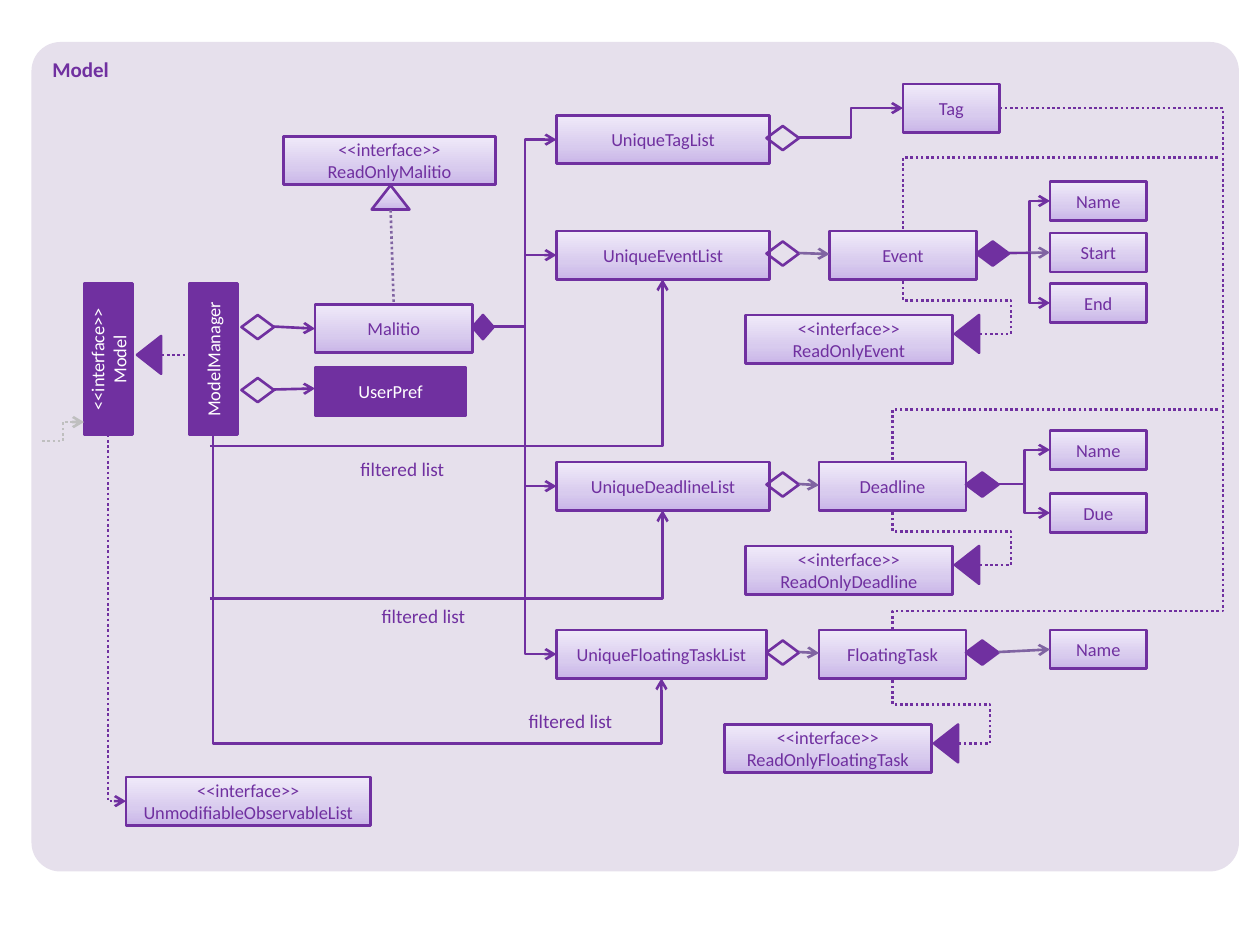
import copy
import itertools
import lxml.etree
import pptx
import pptx.dml.color
import pptx.enum.dml
import pptx.enum.shapes
import pptx.enum.text
import pptx.oxml.ns
import pptx.util

RGBColor = pptx.dml.color.RGBColor
PURPLE = RGBColor(0x70, 0x30, 0xA0)
MUTED = RGBColor(0x80, 0x64, 0xA2)
GRAY = RGBColor(0xBF, 0xBF, 0xBF)
WHITE = RGBColor(0xFF, 0xFF, 0xFF)
PANEL = RGBColor(0xE6, 0xE0, 0xEC)
GRADIENT = ((0, RGBColor(0xC9, 0xB5, 0xE8)),
            (0.35, RGBColor(0xD8, 0xCB, 0xEE)),
            (1, RGBColor(0xF0, 0xEA, 0xF9)))
SHAPES = pptx.enum.shapes.MSO_SHAPE
CONNECTORS = pptx.enum.shapes.MSO_CONNECTOR
ALIGN = pptx.enum.text.PP_ALIGN
ANCHOR = pptx.enum.text.MSO_ANCHOR
qn = pptx.oxml.ns.qn

COLUMNS, ROWS = 120, 90
BOX_HEIGHT, DETAIL_HEIGHT = 4.6, 3.7
DIAMOND = (3.1, 2.3)
TRIANGLE = (3.6, 2.3)

presentation = pptx.Presentation()
presentation.slide_width = pptx.util.Inches(10)
presentation.slide_height = pptx.util.Inches(7.5)
slide = presentation.slides.add_slide(presentation.slide_layouts[6])


def place(*lengths):
    units = itertools.cycle((presentation.slide_width / COLUMNS,
                             presentation.slide_height / ROWS))
    return [round(length * unit) for length, unit in zip(lengths, units)]


def write(shape, text, color, size=10.5, bold=False, align=ALIGN.CENTER):
    frame = shape.text_frame
    frame.word_wrap = True
    frame.text = text
    font_format = {"name": "Calibri", "size": pptx.util.Pt(size), "bold": bold}
    for paragraph in frame.paragraphs:
        paragraph.alignment = align
        for run in paragraph.runs:
            run.font.color.rgb = color
            for name, value in font_format.items():
                setattr(run.font, name, value)


def add_gradient(shape):
    shape.fill.gradient()
    shape.fill.gradient_angle = 90
    stops = shape._element.spPr.find(".//" + qn("a:gsLst"))
    stops.append(copy.deepcopy(stops[0]))
    for stop, (position, color) in zip(shape.fill.gradient_stops, GRADIENT):
        stop.position = position
        stop.color.rgb = color


def add_node(kind, box, fill=None, rotation=0):
    shape = slide.shapes.add_shape(kind, *place(*box))
    shape.shadow.inherit = False
    shape.rotation = rotation
    shape.line.color.rgb = PURPLE
    shape.line.width = pptx.util.Pt(1.5)
    if fill is GRADIENT:
        add_gradient(shape)
    elif fill is None:
        shape.fill.background()
    else:
        shape.fill.solid()
        shape.fill.fore_color.rgb = fill
    return shape


def add_box(text, left, top, width, height=BOX_HEIGHT, fill=GRADIENT, rotation=0):
    shape = add_node(SHAPES.RECTANGLE, (left, top, width, height), fill, rotation)
    write(shape, text, PURPLE if fill is GRADIENT else WHITE)


def add_diamond(left, top, fill=None, width=DIAMOND[0]):
    add_node(SHAPES.FLOWCHART_DECISION, (left, top, width, DIAMOND[1]), fill)


def add_triangle(center_x, center_y, fill=PURPLE, rotation=270):
    width, height = TRIANGLE
    add_node(SHAPES.ISOSCELES_TRIANGLE,
             (center_x - width / 2, center_y - height / 2, width, height), fill, rotation)


def add_route(*points, arrow=False, dotted=False, color=PURPLE):
    (x1, y1), (x2, y2) = points[0], points[-1]
    downward = len(points) > 2 and points[1][0] == x1
    ends = (x1, y1, x2, y2)
    if downward:
        middle_x, middle_y = (x1 + x2) / 2, (y1 + y2) / 2
        half_width, half_height = (y2 - y1) / 2, (x2 - x1) / 2
        ends = (middle_x + half_width, middle_y - half_height,
                middle_x - half_width, middle_y + half_height)
    kind = CONNECTORS.ELBOW if len(points) > 2 else CONNECTORS.STRAIGHT
    connector = slide.shapes.add_connector(kind, *place(*ends))
    connector.line.color.rgb = color
    connector.line.width = pptx.util.Pt(1.5)
    if dotted:
        connector.line.dash_style = pptx.enum.dml.MSO_LINE.ROUND_DOT
    properties = connector._element.spPr
    if downward:
        properties.find(qn("a:xfrm")).set("rot", "16200000")
    if len(points) > 2:
        geometry = properties.find(qn("a:prstGeom"))
        geometry.set("prst", f"bentConnector{len(points) - 1}")
        adjustments = geometry.find(qn("a:avLst"))
        for index, point in enumerate(points[1:-2]):
            axis = (index + downward) % 2
            share = (point[axis] - points[0][axis]) / (points[-1][axis] - points[0][axis])
            lxml.etree.SubElement(adjustments, qn("a:gd"), name=f"adj{index + 1}",
                                  fmla=f"val {round(share * 100000)}")
    if arrow:
        lxml.etree.SubElement(properties.find(qn("a:ln")), qn("a:tailEnd"), type="arrow")
    lxml.etree.SubElement(properties, qn("a:effectLst"))


def add_branch(x1, y1, x2, y2):
    middle = (x1 + x2) / 2
    add_route((x1, y1), (middle, y1), (middle, y2), (x2, y2), arrow=True)


def add_panel(left, top, width, height):
    panel = add_node(SHAPES.ROUNDED_RECTANGLE, (left, top, width, height), PANEL)
    panel.line.fill.background()
    panel.adjustments[0] = 0.035
    panel.text_frame.vertical_anchor = ANCHOR.TOP
    write(panel, "Model", PURPLE, 12, True, ALIGN.LEFT)


def add_manager(left, top):
    for text, offset in (("<<interface>>\nModel", 0), ("ModelManager", 10)):
        add_box(text, left + offset - 4.9, top + 4.9, 14.4, fill=PURPLE, rotation=270)
    add_triangle(left + 6.2, top + 6.8)
    add_route((left + 7.4, top + 6.8), (left + 10.1, top + 6.8), dotted=True)
    add_route((left - 4, top + 15), (left - 2, top + 15), (left - 2, top + 13.2),
              (left, top + 13.2), arrow=True, dotted=True, color=GRAY)
    add_box("Malitio", left + 22, top + 2, 15)
    add_box("UserPref", left + 22, top + 8, 14.4, fill=PURPLE)
    for row, rise in ((3, 0.2), (9, -0.1)):
        add_diamond(left + 15, top + row)
        add_route((left + 18, top + row + 1.1), (left + 22, top + row + 1.1 + rise), arrow=True)
    add_box("<<interface>>\vReadOnlyMalitio", left + 19, top - 14, 20.2)
    add_triangle(left + 29.2, top - 8.2, GRADIENT, 0)
    add_route((left + 29.2, top - 7), (left + 29.5, top + 2), dotted=True, color=MUTED)
    add_diamond(left + 37, top + 3, PURPLE, 2)
    add_box("<<interface>>\vUnmodifiableObservableList", left + 4, top + 47, 23.3)
    add_route((left + 2.3, top + 14.4), (left + 2.3, top + 49.3),
              (left + 4, top + 49.3), arrow=True, dotted=True)


def add_list(name, left, top, width=20.3):
    add_box(name, left, top, width)
    add_diamond(left + 20, top + 1)
    add_branch(47, 31.1, left, top + 2.3)


def add_task(name, left, top, list_name, list_width, entity, interface, drop, details):
    add_list(list_name, left, top, list_width)
    entity_left, middle = left + entity, top + 2.1
    add_box(name, entity_left, top, 14)
    add_route((left + 23.1, middle), (entity_left, middle + 0.1), arrow=True, color=MUTED)
    source = entity_left + 17.1
    add_diamond(entity_left + 14, top + 1, PURPLE)
    for text, offset in details:
        add_box(text, left + 47, top + offset, 9.2, DETAIL_HEIGHT)
        end = top + offset + DETAIL_HEIGHT / 2
        if abs(end - middle) < 1:
            add_route((source, middle), (left + 47, end), arrow=True, color=MUTED)
        else:
            add_branch(source, middle, left + 47, end)
    column, row = left + interface[0], top + interface[1]
    add_box(f"<<interface>>\vReadOnly{name}", column, row, 19.7)
    add_triangle(column + 21.1, row + 1.8)
    center, bottom = entity_left + 7, top + BOX_HEIGHT
    add_route((column + 22.3, row + 1.8), (column + 25.3, row + 1.8),
              (column + 25.3, bottom + drop), (center, bottom + drop), (center, bottom),
              dotted=True)


def add_tag(left, top):
    add_list("UniqueTagList", left, top)
    add_box("Tag", left + 33, top - 3, 9.2)
    add_branch(left + 23.1, top + 2.1, left + 33, top - 0.7)
    add_route((left + 42.2, top - 0.7), (left + 63.5, top - 0.7), (left + 63.5, top + 47.2),
              (left + 32, top + 47.2), (left + 32, top + 49), dotted=True)
    for column, row, drop in ((33, 4, 7), (32, 28, 5)):
        add_route((left + 63, top + row), (left + column, top + row),
                  (left + column, top + row + drop), dotted=True)


def add_filters(left, top):
    for row, end in ((1, 26.6), (15.5, 48.6)):
        add_route((left, top + row), (63.1, top + row), (63.1, end), arrow=True)
    add_route((left + 0.3, top), (left + 0.3, 70.8), (63, 70.8), (63, 64.6), arrow=True)
    for column, row in ((12, 1.5), (14, 15.5), (28, 25.5)):
        label = slide.shapes.add_textbox(*place(left + column, top + row, 11.5, 3.5))
        write(label, "filtered list", PURPLE, 11, align=ALIGN.RIGHT)


add_panel(3, 4, 115, 79)
add_manager(8, 27)
add_tag(53, 11)
TASKS = (
    ("Event", 53, 22, "UniqueEventList", 20.3, 26, (18, 8), 2,
     (("Name", -4.7), ("Start", 0.2), ("End", 5))),
    ("Deadline", 53, 44, "UniqueDeadlineList", 20.3, 25, (18, 8), 2,
     (("Name", -3), ("Due", 3))),
    ("FloatingTask", 53, 60, "UniqueFloatingTaskList", 20, 25, (16, 9), 2.5,
     (("Name", 0),)),
)
for task in TASKS:
    add_task(*task)
add_filters(20, 41.5)
presentation.save("out.pptx")
